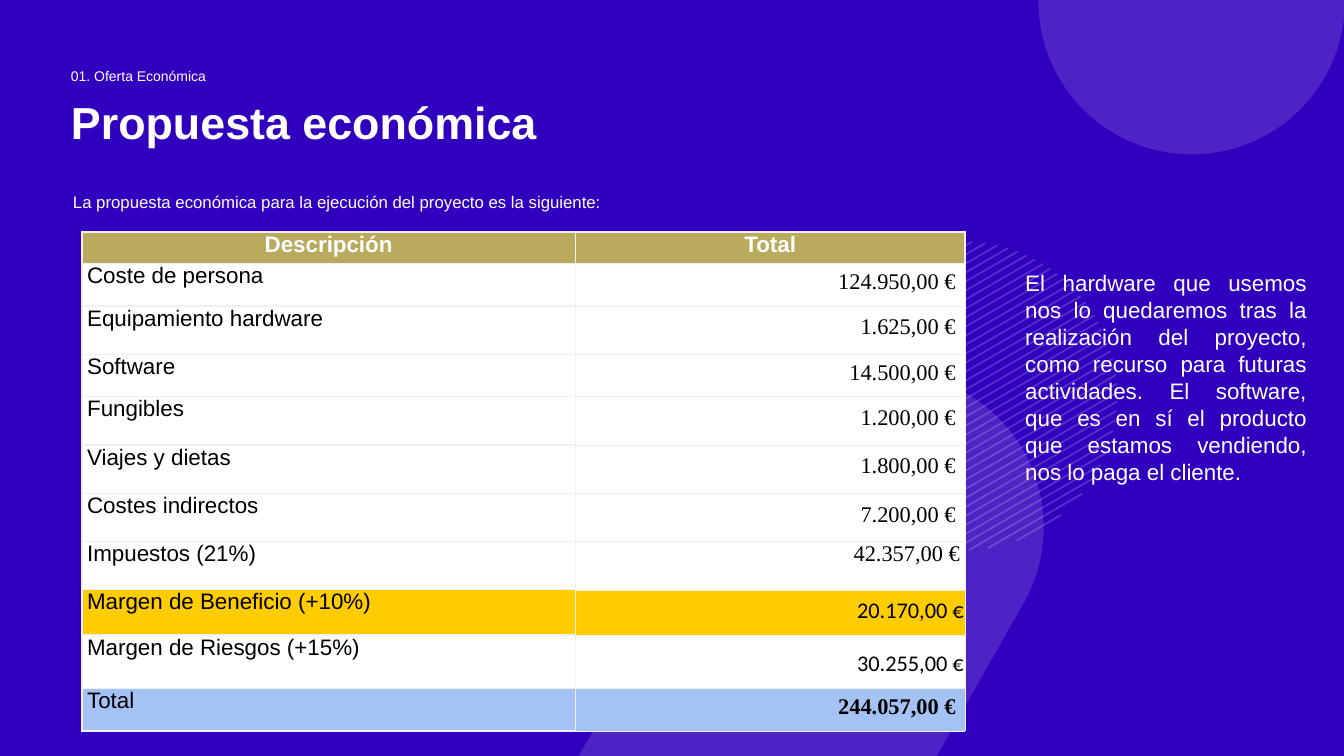
from math import cos, radians, sin, sqrt

from lxml import etree
from pptx import Presentation
from pptx.dml.color import RGBColor
from pptx.enum.text import MSO_ANCHOR, PP_ALIGN
from pptx.oxml.ns import qn
from pptx.util import Pt

PX = 9525
WIDTH, HEIGHT = 1280, 720
LEFT, CENTER, RIGHT, JUSTIFY = (
    PP_ALIGN.LEFT, PP_ALIGN.CENTER, PP_ALIGN.RIGHT, PP_ALIGN.JUSTIFY)
TOP, MIDDLE, BOTTOM = MSO_ANCHOR.TOP, MSO_ANCHOR.MIDDLE, MSO_ANCHOR.BOTTOM

INDIGO = RGBColor(0x31, 0x00, 0xBF)
WHITE = RGBColor(0xFF, 0xFF, 0xFF)
BLACK = RGBColor(0x00, 0x00, 0x00)
PALE = RGBColor(0xF0, 0xF0, 0xF0)
SAND = RGBColor(0xBA, 0xAA, 0x5D)
YELLOW = RGBColor(0xFF, 0xCC, 0x00)
SKY = RGBColor(0xA4, 0xC2, 0xF4)

SANS, SERIF, CALIBRI = "Arial", "Times New Roman", "Calibri"
SMALL = {"name": SANS, "size": Pt(10), "bold": False}
INTRO = {"name": SANS, "size": Pt(12), "bold": False}
BODY = {"name": SANS, "size": Pt(16), "bold": False}
HEAD = {"name": SANS, "size": Pt(16), "bold": True}
TITLE = {"name": SANS, "size": Pt(32), "bold": True}

PLAIN = {"anchor": TOP, "pad": (5, 0, 5, 0), "gap": 1.0}
MID = {"anchor": MIDDLE, "pad": (1, 1, 9, 10), "gap": 1.15}
LOW = {"anchor": BOTTOM, "pad": (1, 1, 1, 10), "gap": 1.15}

COLS = (470, 371)
HEAD_H = 30
COSTS = [
    ("Coste de persona", "124.950,00 €", 40, WHITE, SERIF, MID),
    ("Equipamiento hardware", "1.625,00 €", 46, WHITE, SERIF, MID),
    ("Software", "14.500,00 €", 40, WHITE, SERIF, MID),
    ("Fungibles", "1.200,00 €", 46, WHITE, SERIF, MID),
    ("Viajes y dietas", "1.800,00 €", 46, WHITE, SERIF, MID),
    ("Costes indirectos", "7.200,00 €", 46, WHITE, SERIF, MID),
    ("Impuestos (21%)", "42.357,00 €", 46, WHITE, SERIF, PLAIN),
    ("Margen de Beneficio (+10%)", "20.170,00 €", 43, YELLOW, CALIBRI, LOW),
    ("Margen de Riesgos (+15%)", "30.255,00 €", 51, WHITE, CALIBRI, LOW),
    ("Total", "244.057,00 €", 40, SKY, SERIF, MID),
]
NOTE = (
    "El hardware que usemos nos lo quedaremos tras la realización del "
    "proyecto, como recurso para futuras actividades. El software, que es "
    "en sí el producto que estamos vendiendo, nos lo paga el cliente."
)


def px(*sizes):
    return [round(size * PX) for size in sizes]


def write(para, text, form, color, align, gap=1.0):
    para.alignment = align
    para.line_spacing = gap
    run = para.add_run()
    run.text = text
    for name, value in form.items():
        setattr(run.font, name, value)
    run.font.color.rgb = color


def add_text(slide, box, text, form, align, gap=1.0):
    frame = slide.shapes.add_textbox(*px(*box)).text_frame
    frame.word_wrap = True
    write(frame.paragraphs[0], text, form, WHITE, align, gap)


def add_title(slide, box, lead, text):
    title = slide.shapes.title
    title.left, title.top, title.width, title.height = px(*box)
    frame = title.text_frame
    frame.vertical_anchor = TOP
    write(frame.paragraphs[0], lead, SMALL, WHITE, LEFT, 1.2)
    write(frame.add_paragraph(), text, TITLE, WHITE, LEFT, 1.2)


def arc(x, y, radius, start, end):
    steps = 60
    angles = [radians(start + (end - start) * i / steps)
              for i in range(steps + 1)]
    return [(x + radius * cos(a), y + radius * sin(a)) for a in angles]


def add_free(slide, loops, alpha):
    build = slide.shapes.build_freeform(*px(*loops[0][0]), scale=1.0)
    for i, loop in enumerate(loops):
        if i:
            build.move_to(*px(*loop[0]))
        build.add_line_segments([px(*point) for point in loop[1:]], close=True)
    shape = build.convert_to_shape()
    shape.shadow.inherit = False
    shape.line.fill.background()
    shape.fill.solid()
    shape.fill.fore_color.rgb = PALE
    color = shape.fill._xPr.find(".//" + qn("a:srgbClr"))
    etree.SubElement(color, qn("a:alpha"), val=str(alpha * 1000))
    return shape


def add_disc(slide, x, y, radius, count, thick):
    span = 2 * radius - 4
    bands = []
    for i in range(count):
        drop = span * (i / (count - 1) - 0.5)
        half = sqrt(radius ** 2 - drop ** 2)
        high, low = y + drop - thick / 2, y + drop + thick / 2
        bands.append([(x - half, high), (x + half, high),
                      (x + half, low), (x - half, low)])
    add_free(slide, bands, 20).rotation = 330


def set_edges(cell, width):
    props = cell._tc.get_or_add_tcPr()
    for side in ("lnL", "lnR", "lnT", "lnB"):
        line = etree.SubElement(props, qn("a:" + side), w=str(Pt(width)))
        fill = etree.SubElement(line, qn("a:solidFill"))
        etree.SubElement(fill, qn("a:srgbClr"), val=str(PALE))


def fill_cell(cell, text, form, color, align, back, place, edge):
    set_edges(cell, edge)
    cell.fill.solid()
    cell.fill.fore_color.rgb = back
    cell.vertical_anchor = place["anchor"]
    sides = ("margin_left", "margin_top", "margin_right", "margin_bottom")
    for side, size in zip(sides, px(*place["pad"])):
        setattr(cell, side, size)
    write(cell.text_frame.paragraphs[0], text, form, color, align, place["gap"])


def add_costs(slide, left, top):
    heights = [HEAD_H] + [cost[2] for cost in COSTS]
    box = px(left, top, sum(COLS), sum(heights))
    table = slide.shapes.add_table(len(heights), len(COLS), *box).table
    table.first_row = table.horz_banding = False
    for col, width in zip(table.columns, px(*COLS)):
        col.width = width
    for row, height in zip(table.rows, px(*heights)):
        row.height = height
    for i, text in enumerate(("Descripción", "Total")):
        fill_cell(table.cell(0, i), text, HEAD, WHITE, CENTER, SAND, PLAIN, 1)
    for i, (label, total, _, back, face, place) in enumerate(COSTS, 1):
        form = {**BODY, "name": face, "bold": back == SKY}
        fill_cell(table.cell(i, 0), label, BODY, BLACK, LEFT, back, PLAIN, 1)
        fill_cell(table.cell(i, 1), total, form, BLACK, RIGHT, back, place, 0.54)


def main():
    deck = Presentation()
    deck.slide_width, deck.slide_height = px(WIDTH, HEIGHT)
    slide = deck.slides.add_slide(deck.slide_layouts[5])
    slide.background.fill.solid()
    slide.background.fill.fore_color.rgb = INDIGO

    add_text(slide, (60, 174, 1140, 29),
             "La propuesta económica para la ejecución del proyecto es la "
             "siguiente:", INTRO, LEFT, 1.2)
    add_title(slide, (58, 56, 1140, 106),
              "01. Oferta Económica", "Propuesta económica")
    add_disc(slide, 917, 377, 147, 40, 1.6)
    add_free(slide, [[(989, 0), (WIDTH, 0)] + arc(1135, 1, 146, 7, 180)], 15)
    add_free(slide, [[(892, HEIGHT), (551, HEIGHT)]
                     + arc(847, 502, 147, 210, 390)], 15)
    add_costs(slide, 78, 221)
    add_text(slide, (967, 252, 287, 217), NOTE, BODY, JUSTIFY)
    deck.save("out.pptx")


if __name__ == "__main__":
    main()
